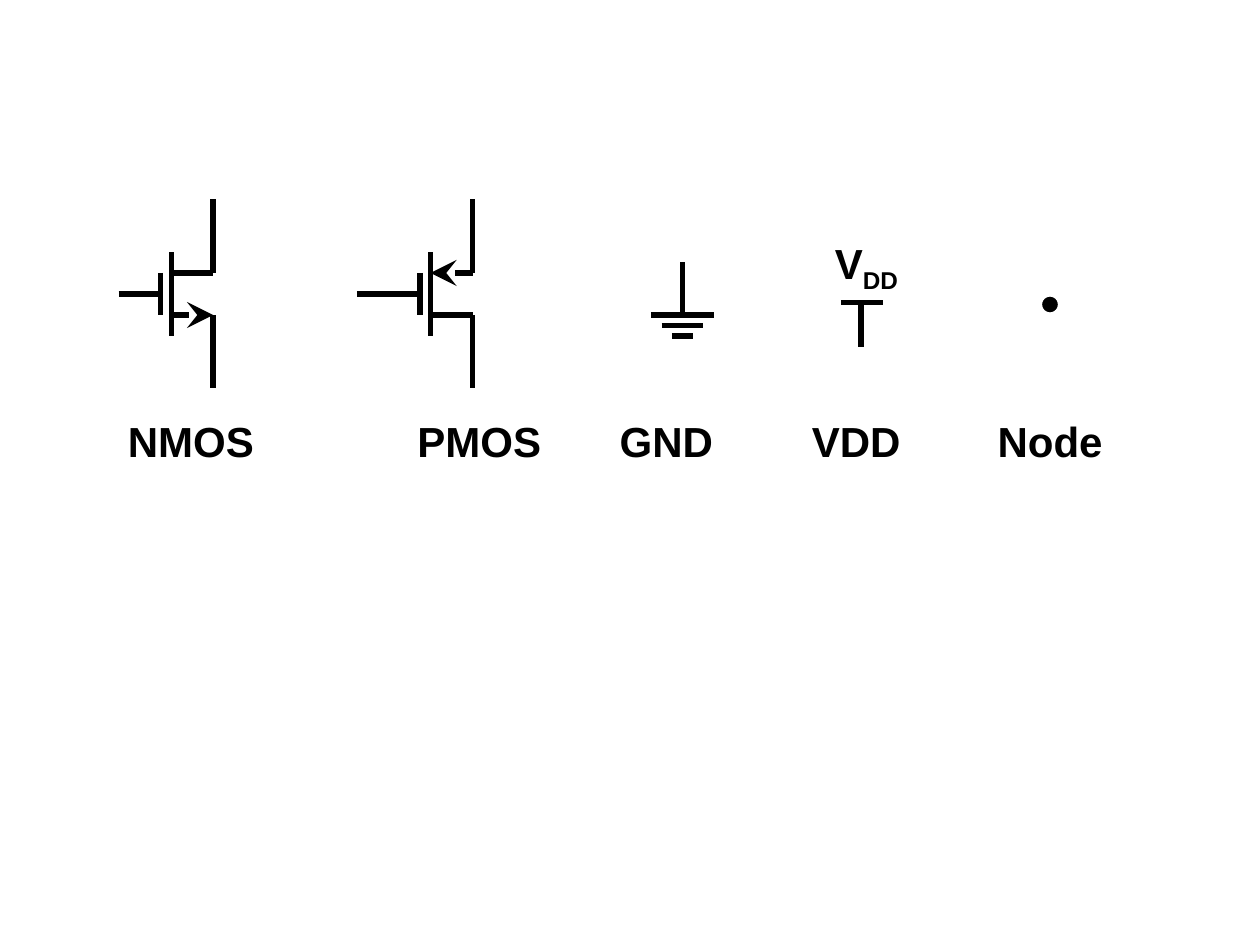
"""Build a slide of circuit symbols: NMOS, PMOS, GND, VDD and node."""
from lxml import etree
from pptx import Presentation
from pptx.dml.color import RGBColor
from pptx.enum.shapes import MSO_CONNECTOR, MSO_SHAPE
from pptx.enum.text import MSO_AUTO_SIZE
from pptx.oxml.ns import qn
from pptx.util import Pt

STRAIGHT = MSO_CONNECTOR.STRAIGHT
OVAL = MSO_SHAPE.OVAL
FIT_SHAPE = MSO_AUTO_SIZE.SHAPE_TO_FIT_TEXT
BLANK_LAYOUT = 6


def color(hex_string):
    return RGBColor.from_string(hex_string)


class SymbolSheet:
    def __init__(self, slide):
        self.slide = slide
        self.font = "Arial"
        self.size = 24
        self.ink = "000000"
        self.paper = "FFFFFF"
        self.stroke = 3

    def symbol(self):
        return self.slide.shapes.add_group_shape().shapes

    def wire(self, symbol, x1, y1, x2, y2, arrow=False):
        wire = symbol.add_connector(STRAIGHT, Pt(x1), Pt(y1), Pt(x2), Pt(y2))
        wire.line.color.rgb = color(self.ink)
        wire.line.width = Pt(self.stroke)
        if arrow:
            outline = wire.line._get_or_add_ln()
            etree.SubElement(outline, qn("a:tailEnd"), type="stealth", w="lg", len="lg")
        etree.SubElement(wire._element.spPr, qn("a:effectLst"))

    def label(self, shapes, text, left, top, width, height, subscript=None):
        box = shapes.add_textbox(Pt(left), Pt(top), Pt(width), Pt(height))
        frame = box.text_frame
        frame.word_wrap = False
        frame.auto_size = FIT_SHAPE
        runs = [(text, None)]
        if subscript:
            runs.append((subscript, "-25000"))
        for content, baseline in runs:
            run = frame.paragraphs[0].add_run()
            run.text = content
            run.font.name = self.font
            run.font.size = Pt(self.size)
            run.font.bold = True
            run.font.color.rgb = color(self.ink)
            if baseline:
                run.font._element.set("baseline", baseline)

    def transistor(self, channel, lead, p_type):
        symbol = self.symbol()
        gate, terminal = channel - 6, channel + 24
        upper, lower = 156, 180
        self.wire(symbol, terminal, 114, terminal, upper)
        self.wire(symbol, terminal, lower, terminal, 222)
        self.wire(symbol, channel, 144, channel, 192)
        self.wire(symbol, gate, upper, gate, lower)
        self.wire(symbol, gate - lead, 168, gate, 168)
        if p_type:
            self.wire(symbol, terminal, upper, channel, upper, arrow=True)
            self.wire(symbol, channel, lower, terminal, lower)
        else:
            self.wire(symbol, channel, upper, terminal, upper)
            self.wire(symbol, channel, lower, terminal, lower, arrow=True)

    def ground(self, center):
        symbol = self.symbol()
        self.wire(symbol, center, 150, center, 180)
        for step, reach in enumerate((18, 12, 6)):
            level = 180 + 6 * step
            self.wire(symbol, center - reach, level, center + reach, level)

    def supply(self, center):
        symbol = self.symbol()
        self.wire(symbol, center, 174, center, 198)
        self.wire(symbol, center - 11.5, 172.7, center + 12.5, 172.7)
        self.label(symbol, "V", 470, 132, 50.5, 40.5, subscript="DD")

    def node(self, left, top, diameter):
        dot = self.slide.shapes.add_shape(OVAL, Pt(left), Pt(top), Pt(diameter), Pt(diameter))
        dot.shadow.inherit = False
        dot.fill.solid()
        dot.fill.fore_color.rgb = color(self.ink)
        dot.line.color.rgb = color(self.paper)
        dot.line.width = Pt(self.stroke)


def main():
    deck = Presentation()
    deck.slide_width, deck.slide_height = Pt(720), Pt(540)
    slide = deck.slides.add_slide(deck.slide_layouts[BLANK_LAYOUT])
    sheet = SymbolSheet(slide)
    sheet.node(594, 168, 12)
    sheet.ground(390)
    sheet.supply(492)
    sheet.transistor(channel=97.8, lead=24, p_type=False)
    sheet.transistor(channel=246, lead=36, p_type=True)
    captions = (
        ("NMOS", 66, 86.5),
        ("PMOS", 231.5, 85.5),
        ("GND", 347, 68),
        ("VDD", 456.8, 65.5),
        ("Node", 563, 74.5),
    )
    for text, left, width in captions:
        sheet.label(slide.shapes, text, left, 234, width, 36)
    deck.save("out.pptx")


if __name__ == "__main__":
    main()
